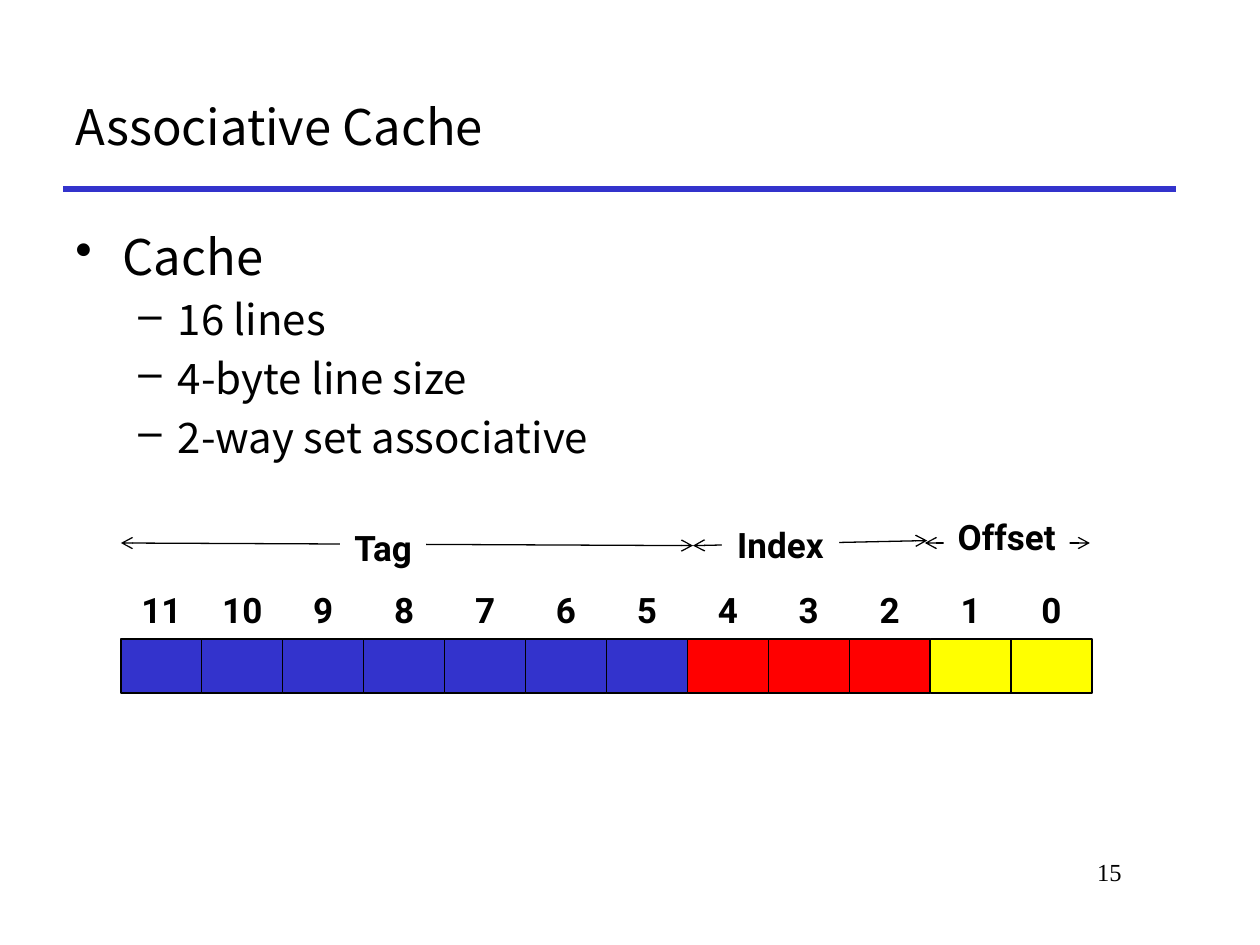
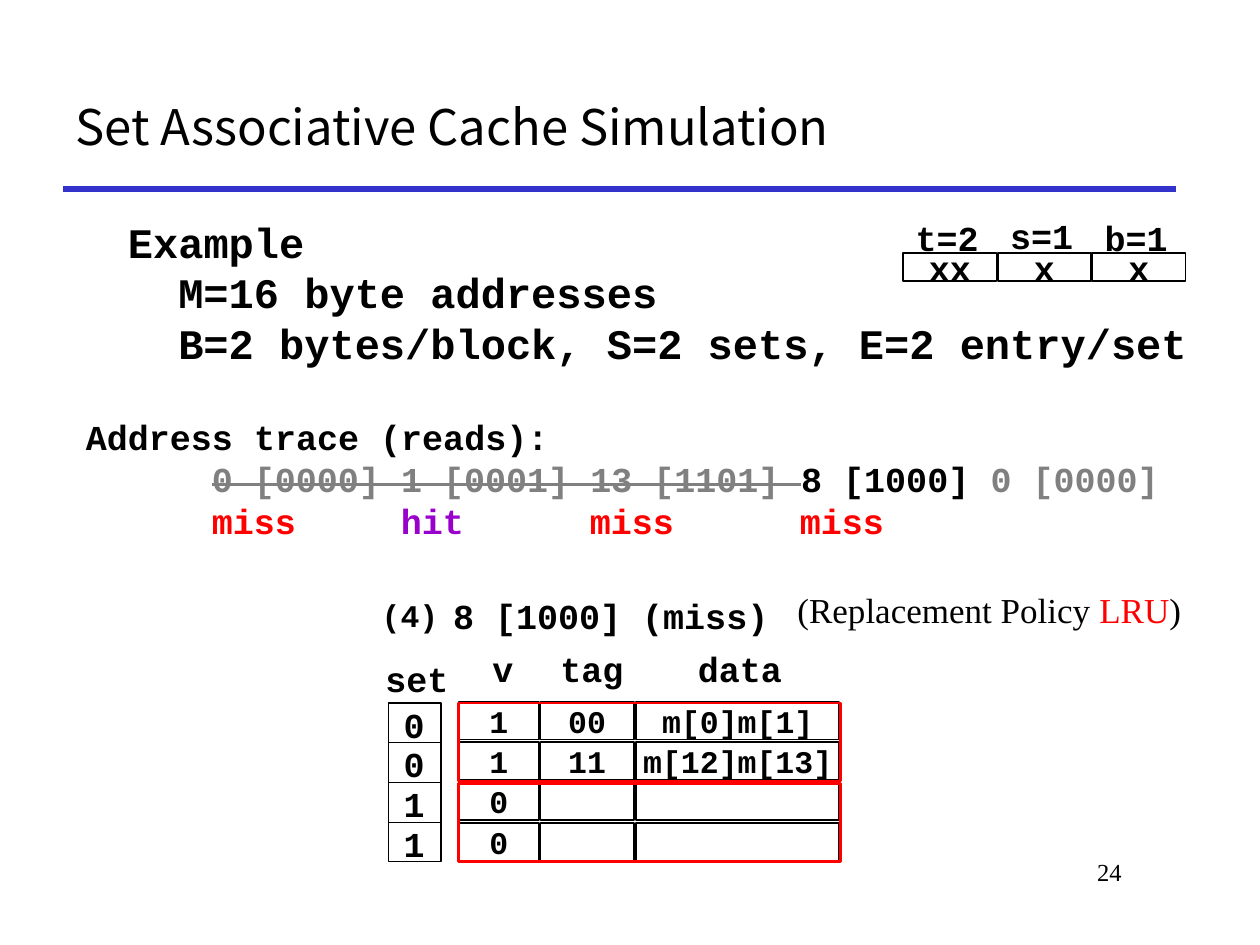
from dataclasses import dataclass

from lxml.etree import SubElement
from pptx import Presentation
from pptx.dml.color import RGBColor as RGB
from pptx.enum.shapes import MSO_CONNECTOR as LINE, MSO_SHAPE as SHAPE
from pptx.enum.text import MSO_ANCHOR as ANCHOR, PP_ALIGN as ALIGN
from pptx.oxml.ns import qn
from pptx.util import Pt


@dataclass(frozen=True)
class Theme:
    black: str = "000000"
    white: str = "FFFFFF"
    blue: str = "3333CC"
    red: str = "FF0000"
    yellow: str = "FFFF00"
    purple: str = "9900CC"
    gray: str = "808080"
    sans: str = "Noto Sans CJK KR"
    label: str = "Roboto"
    code: str = "Courier New"
    serif: str = "Times New Roman"
    title_size: int = 28
    sub_size: int = 24
    text_size: int = 20
    cell_size: int = 18
    page_size: int = 14


THEME = Theme()


def add_run(paragraph, text, font, size, color=THEME.black, bold=False, strike=False):
    run = paragraph.add_run()
    run.text = text
    run.font.name, run.font.size, run.font.bold = font, Pt(size), bold
    run.font.color.rgb = RGB.from_string(color)
    props = run.font._element
    for script in ("a:ea", "a:cs"):
        SubElement(props, qn(script)).set("typeface", font)
    if strike:
        props.set("strike", "sngStrike")


def add_code(paragraph, text, size=THEME.text_size, color=THEME.black, strike=False):
    add_run(paragraph, text, THEME.code, size, color, True, strike)


def add_text(slide, left, top, width, height, wrap=True, anchor=ANCHOR.TOP):
    """Add a text box and return its frame."""
    frame = slide.shapes.add_textbox(Pt(left), Pt(top), Pt(width), Pt(height)).text_frame
    frame.word_wrap, frame.vertical_anchor = wrap, anchor
    return frame


def next_paragraph(frame):
    first = frame.paragraphs[0]
    return frame.add_paragraph() if first.runs else first


def add_code_label(slide, left, top, width, height, text, size=THEME.text_size):
    frame = add_text(slide, left, top, width, height, wrap=False)
    add_code(frame.paragraphs[0], text, size)


def add_rect(slide, left, top, width, height, fill=None, line=None, line_width=1):
    rect = slide.shapes.add_shape(SHAPE.RECTANGLE, Pt(left), Pt(top), Pt(width), Pt(height))
    rect.shadow.inherit = False
    if fill:
        rect.fill.solid()
        rect.fill.fore_color.rgb = RGB.from_string(fill)
    else:
        rect.fill.background()
    if line:
        rect.line.color.rgb = RGB.from_string(line)
        rect.line.width = Pt(line_width)
    else:
        rect.line.fill.background()
    return rect


def add_code_cell(slide, left, top, width, height, text, size):
    frame = add_rect(slide, left, top, width, height, THEME.white, THEME.black).text_frame
    frame.word_wrap, frame.vertical_anchor = False, ANCHOR.MIDDLE
    if text:
        frame.paragraphs[0].alignment = ALIGN.CENTER
        add_code(frame.paragraphs[0], text, size)


def add_line(slide, x1, y1, x2, y2, color=THEME.black, width=0.75, arrows=False):
    line = slide.shapes.add_connector(LINE.STRAIGHT, Pt(x1), Pt(y1), Pt(x2), Pt(y2))
    line.line.color.rgb = RGB.from_string(color)
    line.line.width = Pt(width)
    props = line._element.spPr
    if arrows:
        for end in ("a:headEnd", "a:tailEnd"):
            SubElement(props.find(qn("a:ln")), qn(end)).set("type", "arrow")
    SubElement(props, qn("a:effectLst"))


def add_base_slide(deck, title, page):
    """Add a slide with the rule, title and page number that all slides share."""
    slide = deck.slides.add_slide(deck.slide_layouts[6])
    add_line(slide, 36, 108, 672, 108, THEME.blue, 3)
    number = add_text(slide, 546, 486, 102, 36).paragraphs[0]
    number.alignment = ALIGN.RIGHT
    add_run(number, page, THEME.serif, THEME.page_size)
    heading = add_text(slide, 36, 36, 636, 72, anchor=ANCHOR.MIDDLE).paragraphs[0]
    add_run(heading, title, THEME.sans, THEME.title_size)
    return slide


def add_bullet(frame, text, mark, margin, hanging, size):
    paragraph = next_paragraph(frame)
    if text != frame.text and frame.text:
        paragraph.space_before = Pt(size * 0.2)
    props = paragraph._p.get_or_add_pPr()
    props.set("marL", str(Pt(margin)))
    props.set("indent", str(Pt(-hanging)))
    SubElement(props, qn("a:buChar")).set("char", mark)
    add_run(paragraph, text, THEME.sans, size)


def cache_facts(slide, left, top, width, height):
    frame = add_text(slide, left, top, width, height)
    add_bullet(frame, "Cache", "•", 27, 27, THEME.title_size)
    for fact in ("16 lines", "4-byte line size", "2-way set associative"):
        add_bullet(frame, fact, "–", 58.5, 22.5, THEME.sub_size)


def add_field_label(paragraph, text):
    paragraph.alignment, paragraph.line_spacing = ALIGN.CENTER, 0.9
    add_run(paragraph, text, THEME.label, THEME.text_size, bold=True)


def address_bits(slide, left, top, width, height):
    """Draw the numbered bits of an address; labels and cells each take half the height."""
    fields = [THEME.blue] * 7 + [THEME.red] * 3 + [THEME.yellow] * 2
    bit_width, half = width / len(fields), height / 2
    for i, color in enumerate(fields):
        x = left + i * bit_width
        add_rect(slide, x, top + half, bit_width, half, color, THEME.black, 0.75)
        number = add_text(slide, x, top, bit_width, half, False, ANCHOR.MIDDLE)
        add_field_label(number.paragraphs[0], str(len(fields) - 1 - i))


def field_spans(slide, left, top):
    """Draw the arrow over each address field, with its name on a white patch."""
    spans = [  # arrow from, arrow to, patch left, top, width, name
        ((459.4, 16.5), (553.7, 16.5), 470.2, 0, 72, "Offset"),
        ((326.9, 18), (460.8, 15.1), 343.4, 4.3, 67, "Index"),
        ((0, 16.5), (326.9, 18), 125.3, 6.5, 49, "Tag"),
    ]
    for (x1, y1), (x2, y2), patch_x, patch_y, patch_width, name in spans:
        add_line(slide, left + x1, top + y1, left + x2, top + y2, arrows=True)
        patch = add_rect(slide, left + patch_x, top + patch_y, patch_width, 37.4, THEME.white)
        patch.text_frame.word_wrap = False
        patch.text_frame.vertical_anchor = ANCHOR.TOP
        add_field_label(patch.text_frame.paragraphs[0], name)


def example_setup(slide, left, top, width, height):
    frame = add_text(slide, left, top, width, height)
    lines = [("Example", 0), ("M=16 byte addresses", 28.8),
             ("B=2 bytes/block, S=2 sets, E=2 entry/set", 28.8)]
    for text, margin in lines:
        paragraph = next_paragraph(frame)
        paragraph._p.get_or_add_pPr().set("marL", str(Pt(margin)))
        add_code(paragraph, text, THEME.sub_size)


def add_tab_stops(paragraph, stops):
    tabs = SubElement(paragraph._p.get_or_add_pPr(), qn("a:tabLst"))
    for stop in stops:
        tab = SubElement(tabs, qn("a:tab"))
        tab.set("pos", str(Pt(stop)))
        tab.set("algn", "l")


def address_trace(slide, left, top, width, height):
    frame = add_text(slide, left, top, width, height)
    add_code(next_paragraph(frame), "Address trace (reads):")
    reads, results = frame.add_paragraph(), frame.add_paragraph()
    for paragraph in (reads, results):
        add_tab_stops(paragraph, (72, 180, 288, 408))
    add_code(reads, "\t")
    add_code(reads, "0 [0000] 1 [0001] 13 [1101] ", color=THEME.gray, strike=True)
    add_code(reads, "8 [1000] ")
    add_code(reads, "0 [0000]", color=THEME.gray)
    for result in ("miss", "hit", "miss", "miss"):
        add_code(results, "\t" + result, color=THEME.purple if result == "hit" else THEME.red)


def address_format(slide, left, top, width):
    """Draw the tag, set and block fields, with their bit counts above."""
    pitch = width / 3
    for i, (count, bits) in enumerate((("t=2", "xx"), ("s=1", "x"), ("b=1", "x"))):
        x = left + i * pitch
        add_code_cell(slide, x, top + 24.5, pitch - 0.7, 15.8, bits, THEME.text_size)
        add_code_label(slide, x, top - 1.4 * (i == 1), 50.4, 31, count)


def cache_state(slide, left, top, pitch):
    """Draw the cache lines from their top left corner, two lines to a set."""
    columns = [(0, 46, "v", 12.2, 26.6), (46.8, 53.3, "tag", 51.1, 50.4),
               (101.5, 116, "data", 129.6, 62.6)]
    rows = [("1", "00", "m[0]m[1]"), ("1", "11", "m[12]m[13]"), ("0", "", ""), ("0", "", "")]
    for x, width, header, header_x, header_width in columns:
        add_code_label(slide, left + header_x, top - 34.5, header_width, 31, header)
    for i, row in enumerate(rows):
        for (x, width, *_), value in zip(columns, row):
            add_code_cell(slide, left + x, top + i * pitch, width, 21.6, value, THEME.cell_size)
    for pair in range(2):
        add_rect(slide, left, top + 0.7 + 2 * pair * pitch, 218.2, 44.6,
                 line=THEME.red, line_width=1.5)


def set_numbers(slide, left, top, width, height):
    row = height / 4
    add_rect(slide, left, top, width, height, line=THEME.black, line_width=0.75)
    for i in range(1, 4):
        add_line(slide, left, top + i * row, left + width, top + i * row)
    for i, number in enumerate("0011"):
        add_code_label(slide, left + 1.7, top - 3.6 + i * row, 26.4, 39.6, number)
    add_code_label(slide, left - 8.7, top - 29.5, 51, 31.7, "set")


def access_caption(slide, left, top):
    add_code_label(slide, left + 40.8, top - 0.7, 196, 31, "8 [1000] (miss)")
    add_code_label(slide, left, top, 46.8, 28.8, "(4)", THEME.cell_size)
    policy = add_text(slide, left + 237.6, top - 4.3, 235.4, 31.7, wrap=False).paragraphs[0]
    for text, color in (("(Replacement Policy ", THEME.black), ("LRU", THEME.red),
                        (")", THEME.black)):
        add_run(policy, text, THEME.serif, THEME.text_size, color)


def associative_cache(deck):
    slide = add_base_slide(deck, "Associative Cache", "15")
    cache_facts(slide, 36, 126, 654, 348)
    address_bits(slide, 69.1, 334.1, 554.9, 62)
    field_spans(slide, 69.1, 293.8)


def cache_simulation(deck):
    slide = add_base_slide(deck, "Set Associative Cache Simulation", "24")
    example_setup(slide, 66, 120, 624, 96)
    address_trace(slide, 42, 234, 654, 80)
    cache_state(slide, 262.1, 401, 23.04)
    access_caption(slide, 211, 337)
    address_format(slide, 516.2, 120.2, 162)
    set_numbers(slide, 221.8, 401.8, 30.2, 90.7)


def main():
    deck = Presentation()
    deck.slide_width, deck.slide_height = Pt(720), Pt(540)
    associative_cache(deck)
    cache_simulation(deck)
    deck.save("out.pptx")


if __name__ == "__main__":
    main()
